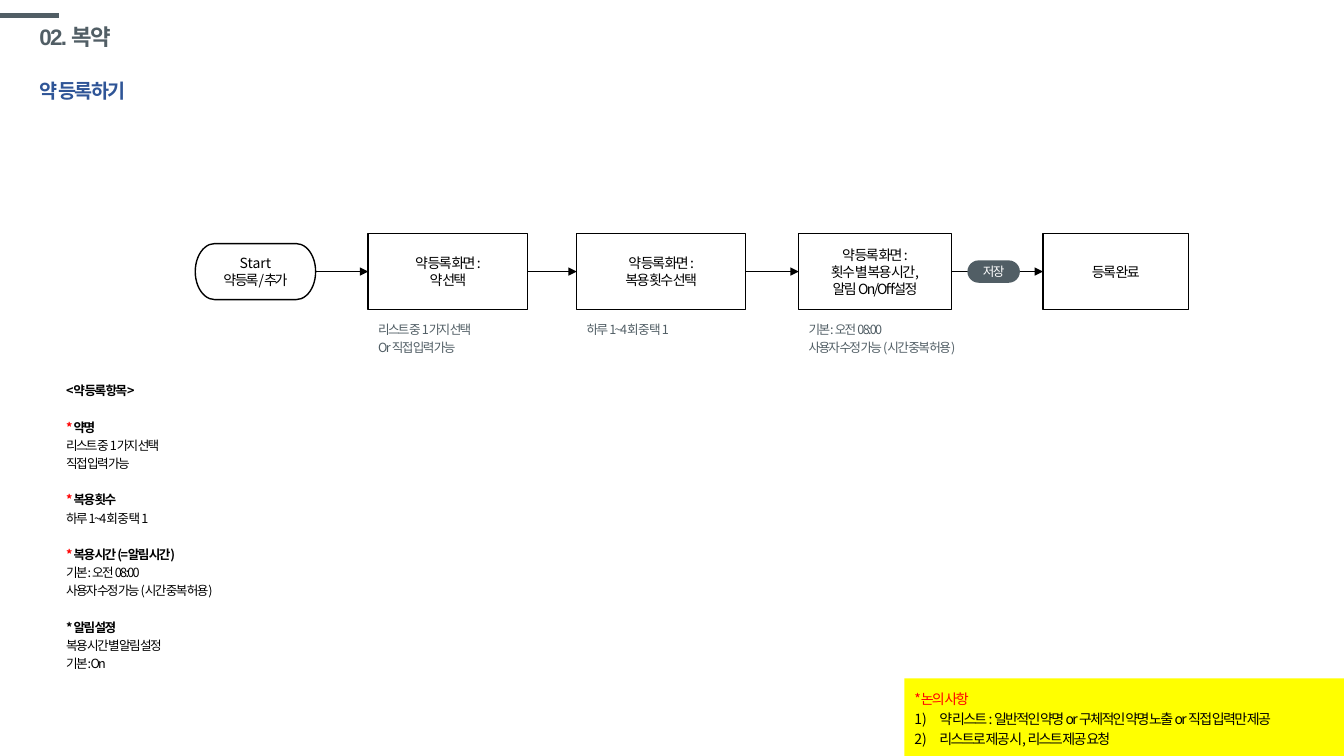
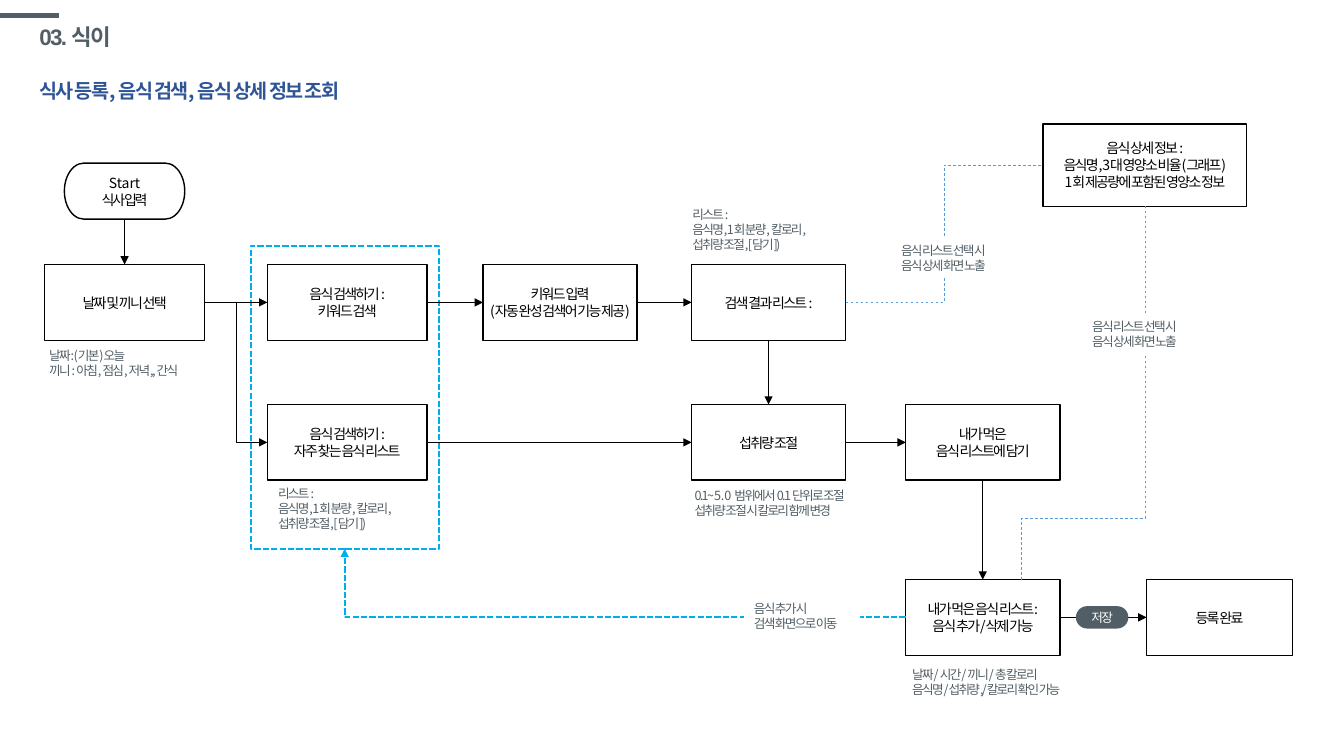
from lxml import etree
from pptx import Presentation
from pptx.dml import color
from pptx.enum import dml, shapes, text
from pptx.oxml import ns
from pptx.util import Pt

SLATE = color.RGBColor(0x51, 0x5E, 0x65)
NAVY = color.RGBColor(0x2F, 0x55, 0x97)
BLACK = color.RGBColor(0, 0, 0)
WHITE = color.RGBColor(0xFF, 0xFF, 0xFF)
RED = color.RGBColor(0xFF, 0, 0)
YELLOW = color.RGBColor(0xFF, 0xFF, 0)
CYAN = color.RGBColor(0, 0xAE, 0xEF)
BLUE = color.RGBColor(0x5B, 0x9B, 0xD5)

TITLE_FONT, FONT = "Arial", "Noto Sans CJK KR"
TRACKING = -1.2
BOX_HEIGHT = 54
TITLE_AND_BODY, TITLE_ONLY = 1, 5
TOP, LEFT, BOTTOM, RIGHT = range(4)  # connection sites
SHAPE = shapes.MSO_SHAPE
DASH = dml.MSO_LINE
ALIGN = text.PP_ALIGN


def sub(parent, tag, **attributes):
    return etree.SubElement(parent, ns.qn(tag), attributes)


def track(span, points):
    """Set letter spacing."""
    span._r.get_or_add_rPr().set("spc", str(round(points * 100)))


class FlowDeck:
    """House style plus the slide being drawn."""

    def __init__(self):
        self.deck = Presentation()
        self.deck.slide_width, self.deck.slide_height = Pt(960), Pt(540)
        self.page = None

    def start_page(self, layout, title, subtitle):
        self.page = self.deck.slides.add_slide(self.deck.slide_layouts[layout])
        heading = self.page.shapes.title
        self.place(heading, 21, 13.5, 828, 28)
        heading.text_frame.vertical_anchor = text.MSO_ANCHOR.MIDDLE
        self.set_text(heading, [title], 16, SLATE, bold=True, spacing=0.9, font=TITLE_FONT)
        self.note(21, 44.5, 400, [subtitle], size=14, ink=NAVY, bold=True, spacing=1.5)

    def master_accent(self):
        """Short bar at the top left, moved to the master so every page has it."""
        bar = self.line(0, 11, 42, 11, SLATE, 3)
        self.deck.slide_master.shapes._spTree.append(bar._element)

    @staticmethod
    def place(item, left, top, width, height):
        item.left, item.top = Pt(left), Pt(top)
        item.width, item.height = Pt(width), Pt(height)

    def set_text(self, item, lines, size, ink, bold=False, align=ALIGN.LEFT,
                 spacing=1.0, font=FONT, wrap=True):
        """Each line is one paragraph; a tuple gives its separate runs."""
        frame = item.text_frame
        parts = [(line,) if isinstance(line, str) else line for line in lines]
        frame.text = "\n".join(part[0] for part in parts)
        frame.word_wrap = wrap
        frame.auto_size = text.MSO_AUTO_SIZE.NONE
        for para, part in zip(frame.paragraphs, parts):
            para.alignment, para.line_spacing = align, spacing
            para.space_before = Pt(0)
            for words in part[1:]:
                para.add_run().text = words
            for span in para.runs:
                span.font.size, span.font.bold = Pt(size), bold
                span.font.color.rgb = ink
                span.font.name = font
                latin = span._r.rPr.find(ns.qn("a:latin"))
                latin.addnext(latin.makeelement(ns.qn("a:ea"), {"typeface": FONT}))
                track(span, TRACKING)
        return frame.paragraphs

    def note(self, left, top, width, lines, size=9, ink=SLATE, fill=None, **style):
        height = 7 + len(lines) * size * 1.2 * style.get("spacing", 1)
        box = self.page.shapes.add_textbox(Pt(left), Pt(top), Pt(width), Pt(height))
        if fill is not None:
            box.fill.solid()
            box.fill.fore_color.rgb = fill
        return self.set_text(box, lines, size, ink, **style)

    def shape(self, kind, left, top, width, height, fill=None, outline=None, weight=1):
        box = self.page.shapes.add_shape(kind, Pt(left), Pt(top), Pt(width), Pt(height))
        box.shadow.inherit = False
        if fill is None:
            box.fill.background()
        else:
            box.fill.solid()
            box.fill.fore_color.rgb = fill
        if outline is None:
            box.line.fill.background()
        else:
            box.line.color.rgb, box.line.width = outline, Pt(weight)
        return box

    def process(self, left, top, width, *lines, height=BOX_HEIGHT,
                kind=SHAPE.FLOWCHART_PROCESS):
        box = self.shape(kind, left, top, width, height, WHITE, BLACK)
        self.set_text(box, lines, 10, BLACK, align=ALIGN.CENTER, wrap=False)
        return box

    def terminator(self, left, top, action):
        box = self.process(left, top, 86, "Start", action, height=40,
                           kind=SHAPE.FLOWCHART_TERMINATOR)
        for para, points in zip(box.text_frame.paragraphs, (0, -1.5)):
            track(para.runs[0], points)
        return box

    def line(self, x1, y1, x2, y2, ink=BLACK, weight=0.5, dash=None, head=False,
             kind=shapes.MSO_CONNECTOR.STRAIGHT):
        link = self.page.shapes.add_connector(kind, Pt(x1), Pt(y1), Pt(x2), Pt(y2))
        link.line.color.rgb, link.line.width = ink, Pt(weight)
        if dash is not None:
            link.line.dash_style = dash
        if head:
            sub(link.line._get_or_add_ln(), "a:tailEnd", type="triangle")
        sub(link._element.spPr, "a:effectLst")
        return link

    def connect(self, source, source_site, target, target_site, bent=False,
                head=True, corner=False, **style):
        """Glue a line to two shapes; corner makes it turn only once."""
        kinds = shapes.MSO_CONNECTOR
        link = self.line(0, 0, 0, 0, head=head,
                         kind=kinds.ELBOW if bent else kinds.STRAIGHT, **style)
        link.begin_connect(source, source_site)
        link.end_connect(target, target_site)
        if corner:
            link._element.spPr.find(ns.qn("a:prstGeom")).set("prst", "bentConnector2")

    def chain(self, *boxes):
        for source, target in zip(boxes, boxes[1:]):
            self.connect(source, RIGHT, target, LEFT)

    def rise(self, x1, y1, x2, y2, bend, **style):
        """Elbow that leaves upwards and turns right at the bend share."""
        middle_x, middle_y = (x1 + x2) / 2, (y1 + y2) / 2
        half_w, half_h = (y1 - y2) / 2, (x2 - x1) / 2
        link = self.line(middle_x + half_w, middle_y + half_h,
                         middle_x - half_w, middle_y - half_h,
                         kind=shapes.MSO_CONNECTOR.ELBOW, **style)
        outline = link._element.spPr
        outline.find(ns.qn("a:xfrm")).set("rot", "5400000")
        guides = outline.find(ns.qn("a:prstGeom")).find(ns.qn("a:avLst"))
        sub(guides, "a:gd", name="adj1", fmla=f"val {round(bend * 100000)}")

    def save_step(self, source, target):
        """Arrow that carries the save button."""
        self.chain(source, target)
        left = (source.left + source.width) / Pt(1) + 11.5
        middle = (source.top + source.height / 2) / Pt(1)
        pill = self.shape(SHAPE.ROUNDED_RECTANGLE, left, middle - 8, 37.5, 16, SLATE)
        pill.adjustments[0] = 0.5
        pill.text_frame.margin_top = pill.text_frame.margin_bottom = Pt(0)
        self.set_text(pill, ["저장"], 9, WHITE, align=ALIGN.CENTER)

    def field_list(self, heading, groups):
        """Body list: each group is star colour, name and detail lines."""
        body = self.page.placeholders[1]
        self.place(body, 40, 268, 160, 217)
        lines, stars = [heading], {}
        for ink, name, details in groups:
            stars[len(lines)] = ink
            lines += [("* ", name), *details]
        paras = self.set_text(body, lines, 9, BLACK, spacing=1.2)
        for index, para in enumerate(paras):
            if index in stars:
                para.space_before = Pt(13)
                para.runs[0].font.color.rgb = stars[index]
            props = para._p.get_or_add_pPr()
            props.set("marL", "0")
            props.set("indent", "0")
            sub(props, "a:buNone")
            for span in para.runs:
                span.font.bold = index == 0 or index in stars

    def discussion(self, heading, points):
        panel = self.shape(SHAPE.RECTANGLE, 646, 484.5, 314, 55.5, YELLOW)
        paras = self.set_text(panel, [heading, *points], 10, BLACK, spacing=1.2)
        paras[0].runs[0].font.color.rgb = RED
        for para in paras[1:]:
            props = para._p.get_or_add_pPr()
            props.set("marL", str(int(Pt(18))))
            props.set("indent", str(-int(Pt(18))))
            sub(props, "a:buFont", typeface="+mj-lt")
            sub(props, "a:buAutoNum", type="arabicParenR")


def medicine_page(flow):
    flow.start_page(TITLE_AND_BODY, "02. 복약", "약 등록하기")
    flow.master_accent()

    # Flow
    row = 167
    start = flow.terminator(139.5, row + 7, "약 등록/추가")
    choose = flow.process(263, row, 114, "약 등록 화면 :", "약 선택")
    count = flow.process(412, row, 120.5, "약 등록 화면 :", "복용 횟수 선택")
    times = flow.process(570.5, row, 109, "약 등록 화면 :", "횟수 별 복용 시간,",
                         "알림 On/Off설정")
    done = flow.process(745, row, 104, "등록 완료")
    flow.chain(start, choose, count, times)
    flow.save_step(times, done)

    # Notes under the steps
    pick, once = "리스트 중 1가지 선택", "하루 1~4회 중 택 1"
    default = ["기본: 오전 08:00", "사용자 수정 가능 (시간 중복 허용)"]
    for left, lines in ((263, [pick, "Or 직접 입력 가능"]), (412, [once]), (570.5, default)):
        flow.note(left, 224, 137, lines, spacing=1.2)

    # Field list and open questions
    flow.field_list("<약 등록 항목>", [
        (RED, "약명", [pick, "직접 입력 가능"]),
        (RED, "복용 횟수", [once]),
        (RED, "복용 시간 (=알림 시간)", default),
        (BLACK, "알림 설졍", ["복용 시간 별 알림 설정", "기본: On"]),
    ])
    flow.discussion("*논의 사항", [
        "약 리스트 : 일반적인 약명 or 구체적인 약명 노출 or 직접 입력만 제공",
        "리스트로 제공 시, 리스트 제공 요청",
    ])


def meal_page(flow):
    flow.start_page(TITLE_ONLY, "03. 식이", "식사 등록, 음식 검색, 음식 상세 정보 조회")

    # Steps
    upper, middle, lower = 189, 289, 414
    start = flow.terminator(46, 116.5, "식사 입력")
    meal = flow.process(32, upper, 114, "날짜 및 끼니 선택")
    search = flow.process(191, upper, 114, "음식 검색하기 :", "키워드 검색")
    frequent = flow.process(191, middle, 114, "음식 검색하기 :", "자주 찾는 음식 리스트")
    keyword = flow.process(345, upper, 110, "키워드 입력", "(자동 완성 검색어 기능 제공)")
    results = flow.process(494, upper, 110, "검색 결과 리스트 :")
    amount = flow.process(494, middle, 110, "섭취량 조절")
    collect = flow.process(647, middle, 110, "내가 먹은", "음식 리스트에 담기")
    eaten = flow.process(647, lower, 110, "내가 먹은 음식 리스트:", "음식 추가/삭제 가능")
    done = flow.process(819, lower, 104, "등록 완료")
    detail = flow.process(745, 88.5, 145.5, "음식 상세 정보 :",
                          "음식명, 3대 영양소 비율(그래프)",
                          "1회 제공량에 포함된 영양소 정보", height=59)
    search_area = flow.shape(SHAPE.RECTANGLE, 179, 175.5, 134.5, 216.5,
                             outline=CYAN, weight=1.5)
    search_area.line.dash_style = DASH.SQUARE_DOT

    # Arrows
    flow.chain(meal, search, keyword, results)
    flow.chain(frequent, amount, collect)
    flow.connect(meal, RIGHT, frequent, LEFT, bent=True)
    for source, target in ((start, meal), (results, amount), (collect, eaten)):
        flow.connect(source, BOTTOM, target, TOP)
    flow.save_step(eaten, done)
    flow.connect(eaten, LEFT, search_area, BOTTOM, bent=True, corner=True,
                 ink=CYAN, weight=1.5, dash=DASH.SQUARE_DOT)
    flow.connect(results, RIGHT, detail, LEFT, bent=True, head=False,
                 ink=BLUE, dash=DASH.DASH)
    flow.rise(729.5, lower, 818, 147.5, 0.165, ink=BLUE, dash=DASH.DASH)

    # Notes, the filled ones interrupting a line
    flow.note(28, 245, 119.5, ["날짜: (기본)오늘", "끼니 : 아침, 점심, 저녁,, 간식"])
    for left, top in ((191.5, 343.5), (487.5, 144)):
        flow.note(left, top, 106.5, ["리스트 :", "음식명, 1회 분량, 칼로리,",
                                     "섭취량 조절, [담기])"])
    for left, top in ((636.5, 170), (773, 224)):
        flow.note(left, top, 109.5, ["음식 리스트 선택 시", "음식 상세 화면 노출"], fill=WHITE)
    flow.note(531.5, 425.5, 83, ["음식 추가 시", "검색 화면으로 이동"], fill=WHITE)
    flow.note(644.5, 472.5, 134.5, ["날짜/ 시간/ 끼니/ 총 칼로리",
                                    "음식명/섭취량,/칼로리 확인 가능"], fill=WHITE)
    amount_note = flow.note(489, 345, 140.5, [
        ("0.1~", "5.0 ", "범위에서 0.1 단위로 조절"), "섭취량 조절 시 칼로리 함께 변경"])
    track(amount_note[0].runs[1], 0)


def main():
    flow = FlowDeck()
    medicine_page(flow)
    meal_page(flow)
    flow.deck.save("out.pptx")


if __name__ == "__main__":
    main()
